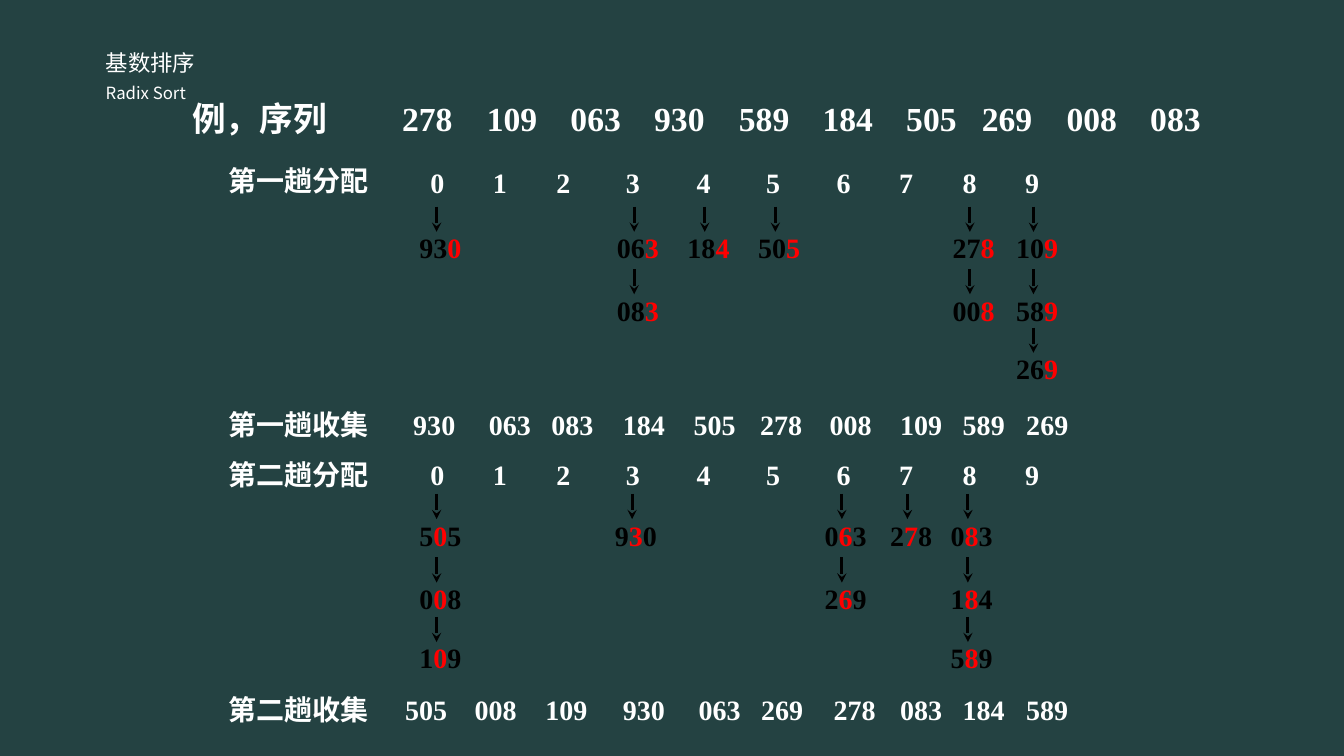
from lxml import etree
from pptx import Presentation
from pptx.dml.color import RGBColor
from pptx.enum.shapes import MSO_CONNECTOR
from pptx.enum.text import MSO_ANCHOR, MSO_AUTO_SIZE, PP_ALIGN
from pptx.oxml.ns import qn
from pptx.util import Pt

STRAIGHT = MSO_CONNECTOR.STRAIGHT
TOP = MSO_ANCHOR.TOP
LEFT = PP_ALIGN.LEFT
GROW = MSO_AUTO_SIZE.SHAPE_TO_FIT_TEXT

EMU_PER_PX = 9144
TITLE_ONLY = 5
SERIF, SANS = "Times New Roman", "Noto Sans CJK SC"
COLOURS = {"board": "244242", "chalk": "FFFFFF", "ink": "000000", "key": "FF0000"}
NUMBER = {"name": SERIF, "size": Pt(20), "bold": True}
SEQUENCE = {"name": SERIF, "size": Pt(24), "bold": True}
TITLE = {"name": SANS, "size": Pt(16), "bold": False}
SUBTITLE = {"name": SANS, "size": Pt(12), "bold": False}

INPUT = "例，序列 278 109 063 930 589 184 505 269 008 083"
INPUT_STOPS = [208, 292, 375, 458, 542, 625, 708, 783, 867, 950]
DIGITS = "0 1 2 3 4 5 6 7 8 9"
DIGIT_STOPS = [62, 125, 194, 264, 333, 403, 465, 528, 590]

DISTRIBUTIONS = [
    {"label": "第一趟分配", "label_top": 157, "top": 159, "key": 2,
     "arrow_tops": [205, 267, 325],
     "buckets": {433: ["930"], 629: ["063", "083"], 699: ["184"], 769: ["505"],
                 962: ["278", "008"], 1025: ["109", "589", "269"]}},
    {"label": "第二趟分配", "label_top": 449, "top": 449, "key": 1,
     "arrow_tops": [490, 553, 612],
     "buckets": {433: ["505", "008", "109"], 627: ["930"], 835: ["063", "269"],
                 900: ["278"], 960: ["083", "184", "589"]}},
]
COLLECTIONS = [
    {"label": "第一趟收集", "top": 399,
     "groups": [(400, 108, "930", []), (475, 158, "063 083", [62]),
                (608, 158, "184", []), (678, 158, "505", []),
                (744, 158, "278 008", [69]), (883, 208, "109 589 269", [62, 125])]},
    {"label": "第二趟收集", "top": 682,
     "groups": [(392, 217, "505 008 109", [69, 139]), (608, 75, "930", []),
                (683, 152, "063 269", [62]), (817, 86, "278", []),
                (883, 217, "083 184 589", [62, 125])]},
]


def px(length):
    """Turn pixels into EMU."""
    return length * EMU_PER_PX


class Board:
    """Hold the style and the current slide."""

    def __init__(self, presentation):
        """Add a slide with a plain dark background."""
        self.slide = presentation.slides.add_slide(presentation.slide_layouts[TITLE_ONLY])
        fill = self.slide.background.fill
        fill.solid()
        fill.fore_color.rgb = self.colour("board")

    def colour(self, name):
        """Look up a colour by name."""
        return RGBColor.from_string(COLOURS[name])

    def fill_text(self, shape, runs, style, stops=()):
        """Fill a shape with one paragraph of coloured runs."""
        frame = shape.text_frame
        layout = {"word_wrap": True, "auto_size": GROW, "vertical_anchor": TOP}
        for name, value in layout.items():
            setattr(frame, name, value)
        paragraph = frame.paragraphs[0]
        paragraph.alignment = LEFT
        if stops:
            tabs = etree.SubElement(paragraph._p.get_or_add_pPr(), qn("a:tabLst"))
            for stop in stops:
                etree.SubElement(tabs, qn("a:tab"), pos=str(px(stop)), algn="l")
        for text, colour in runs:
            run = paragraph.add_run()
            run.text = text
            for name, value in style.items():
                setattr(run.font, name, value)
            run.font.color.rgb = self.colour(colour)
            etree.SubElement(run._r.get_or_add_rPr(), qn("a:ea"), typeface=SANS)

    def title(self, left, top, width, height, text):
        """Move the title placeholder and set the title."""
        shape = self.slide.shapes.title
        box = {"left": left, "top": top, "width": width, "height": height}
        for name, value in box.items():
            setattr(shape, name, px(value))
        self.fill_text(shape, [(text, "chalk")], TITLE)

    def text(self, left, top, width, height, runs, style=NUMBER, stops=()):
        """Add a text box."""
        shape = self.slide.shapes.add_textbox(px(left), px(top), px(width), px(height))
        self.fill_text(shape, runs, style, stops)

    def row(self, left, top, width, height, words, stops, style=NUMBER):
        """Add words that are lined up on tab stops."""
        runs = [("\t".join(words.split()), "chalk")]
        self.text(left, top, width, height, runs, style, stops)

    def label(self, top, text):
        """Add the label of a pass."""
        self.text(217, top, 192, 44, [(text, "chalk")])

    def arrow(self, x, top):
        """Add a short arrow that points down."""
        connector = self.slide.shapes.add_connector(
            STRAIGHT, px(x), px(top), px(x), px(top + 25))
        connector.line.color.rgb = self.colour("ink")
        connector.line.width = Pt(2.25)
        etree.SubElement(connector.line._get_or_add_ln(), qn("a:tailEnd"), type="stealth")
        etree.SubElement(connector._element.spPr, qn("a:effectLst"))

    def bucket_item(self, x, top, number, key):
        """Add an arrow and a number with its key digit marked."""
        self.arrow(x, top)
        parts = [(number[:key], "ink"), (number[key], "key"), (number[key + 1:], "ink")]
        self.text(x - 27, top + 19, 75, 44, [part for part in parts if part[0]])

    def distribution(self, label, label_top, top, key, arrow_tops, buckets):
        """Add a distribution pass with its buckets."""
        self.label(label_top, label)
        self.row(417, top, 692, 44, DIGITS, DIGIT_STOPS)
        for x, numbers in buckets.items():
            for arrow_top, number in zip(arrow_tops, numbers):
                self.bucket_item(x, arrow_top, number, key)

    def collection(self, label, top, groups):
        """Add a collection pass with its groups of numbers."""
        self.label(top, label)
        for left, width, words, stops in groups:
            self.row(left, top, width, 44, words, stops)


def main():
    """Build the radix sort slide."""
    presentation = Presentation()
    presentation.slide_width, presentation.slide_height = px(1333), px(750)
    board = Board(presentation)
    board.title(95, 44, 383, 37, "基数排序")
    board.text(95, 77, 607, 30, [("Radix Sort", "chalk")], SUBTITLE)
    board.row(181, 92, 1038, 50, INPUT, INPUT_STOPS, SEQUENCE)
    for distribution in DISTRIBUTIONS:
        board.distribution(**distribution)
    for collection in COLLECTIONS:
        board.collection(**collection)
    presentation.save("out.pptx")


if __name__ == "__main__":
    main()
